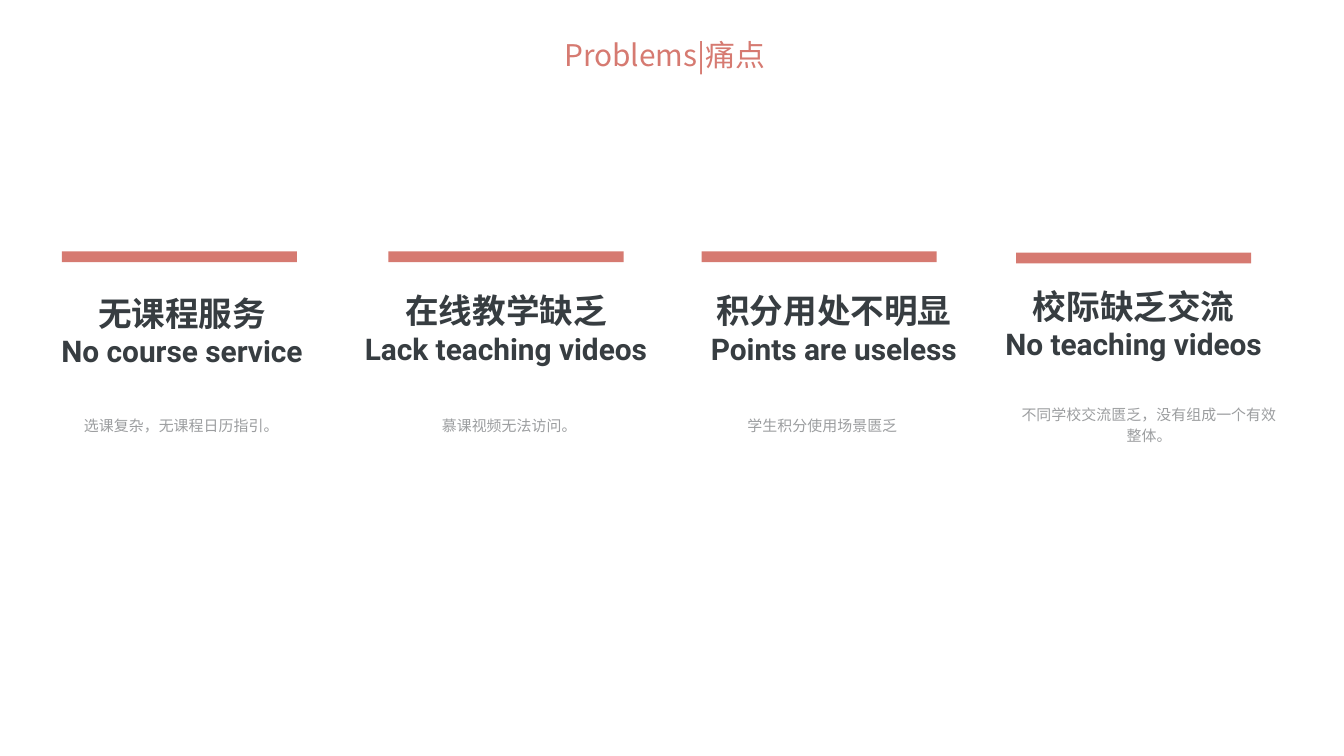
"""Build the slide on four problems, each with a bar, a heading and a note."""
from lxml.etree import SubElement as Sub
from pptx import Presentation
from pptx.dml.color import RGBColor as RGB
from pptx.enum.shapes import MSO_SHAPE as Shape
from pptx.enum.text import MSO_ANCHOR as Anchor, MSO_AUTO_SIZE as Fit, PP_ALIGN as Align
from pptx.oxml.ns import qn
from pptx.util import Inches, Pt

COLORS = {"red": "D67A71", "dark": "373D41", "gray": "9C9EA0"}
CJK = "Noto Sans CJK SC"


def add_box(left, top, width, height, pad=0.06, anchor=Anchor.MIDDLE):
    box = slide.shapes.add_textbox(Inches(left), Inches(top), Inches(width), Inches(height))
    frame = box.text_frame
    frame.word_wrap = True
    frame.auto_size = Fit.SHAPE_TO_FIT_TEXT
    frame.vertical_anchor = anchor
    frame.margin_left = frame.margin_right = Inches(pad)
    frame.margin_top = frame.margin_bottom = Inches(0.06)
    return frame


def add_run(para, text, size, color, face="Roboto", bold=False):
    run = para.add_run()
    run.text = text
    run.font.size = Pt(size)
    run.font.name = face
    run.font.bold = bold
    run.font.color.rgb = RGB.from_string(COLORS[color])
    Sub(run._r.get_or_add_rPr(), qn("a:ea")).set("typeface", CJK)


deck = Presentation()
deck.slide_width = Inches(10)
deck.slide_height = Inches(10 * 9 / 16)
slide = deck.slides.add_slide(deck.slide_layouts[6])

title = add_box(4.1, 0.21, 2.03, 0.37, pad=0.1, anchor=Anchor.TOP)
add_run(title.paragraphs[0], "Problems|痛点", 16, "red", CJK)

items = [
    ("无课程服务", "No course service", "选课复杂，无课程日历指引。",
     (0.46, 1.87), (-0.59, 2.12), (0.33, 3.02), 0.26),
    ("在线教学缺乏", "Lack teaching videos", "慕课视频无法访问。",
     (2.89, 1.87), (1.82, 2.1), (2.77, 3.02), 0.27),
    ("积分用处不明显", "Points are useless", "学生积分使用场景匮乏",
     (5.22, 1.87), (4.26, 2.1), (5.1, 3.02), 0.26),
    ("校际缺乏交流", "No teaching videos", "不同学校交流匮乏，没有组成一个有效整体。",
     (7.56, 1.88), (6.49, 2.07), (7.53, 2.94), 0.42),
]

for name, gloss, note, bar_at, head_at, note_at, tall in items:
    left, top = bar_at
    bar = slide.shapes.add_shape(
        Shape.RECTANGLE, Inches(left), Inches(top), Inches(1.75), Inches(0.08))
    bar.shadow.inherit = False
    bar.fill.solid()
    bar.fill.fore_color.rgb = RGB.from_string(COLORS["red"])
    bar.line.fill.background()

    head = add_box(*head_at, 3.89, 0.68)
    for para, text, size in (
            (head.paragraphs[0], name, 18), (head.add_paragraph(), gloss, 16)):
        para.alignment = Align.CENTER
        add_run(para, text, size, "dark", bold=True)

    para = add_box(*note_at, 2.04, tall).paragraphs[0]
    para.alignment = Align.CENTER
    para.line_spacing = 1.2
    add_run(para, note, 8, "gray")

deck.save("out.pptx")
